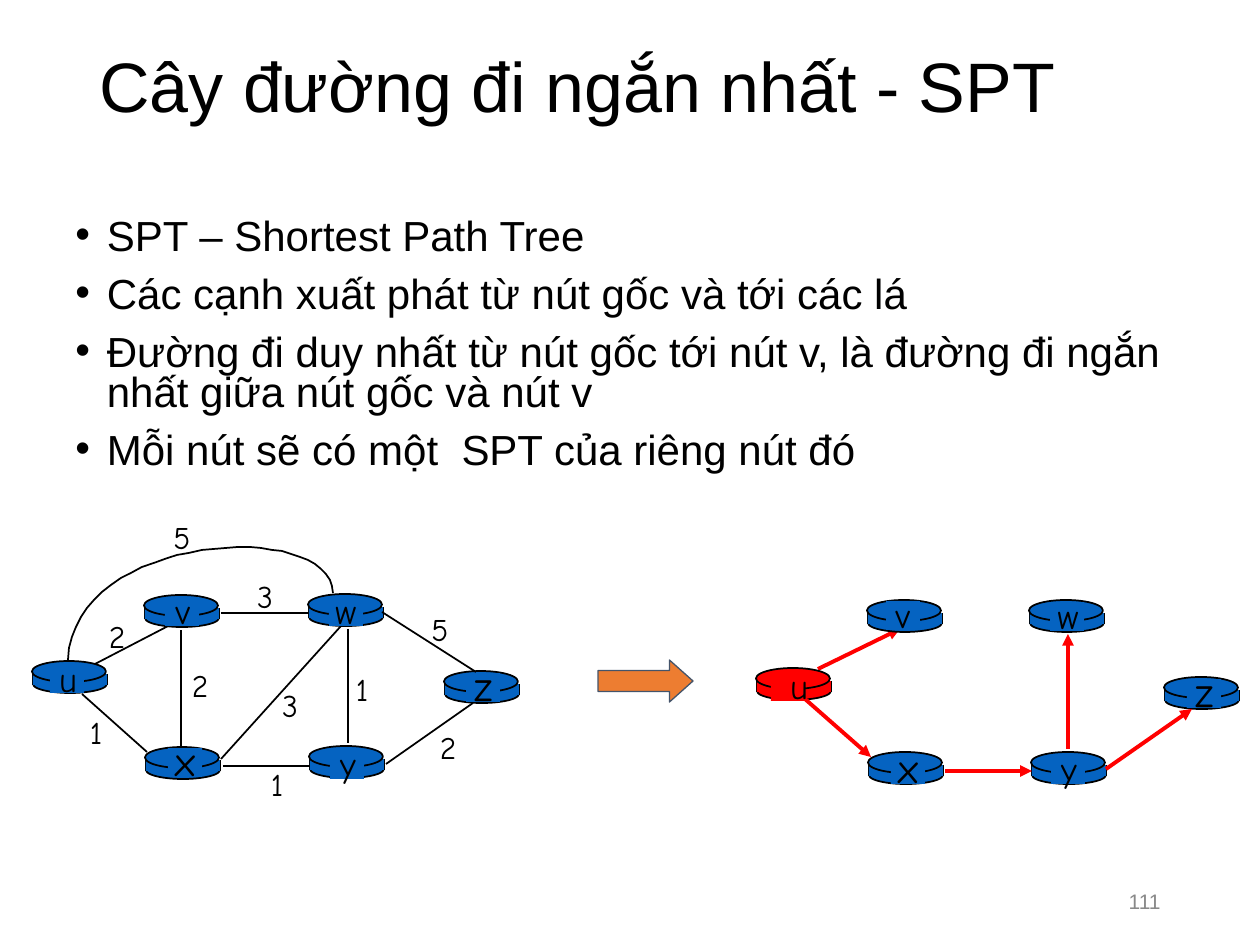
from lxml.etree import SubElement
from pptx import Presentation
from pptx.dml.color import RGBColor
from pptx.enum.shapes import MSO_CONNECTOR, MSO_SHAPE
from pptx.enum.text import MSO_ANCHOR, PP_ALIGN
from pptx.oxml.ns import qn
from pptx.util import Pt

PX = 914400 / 126
BLACK, BLUE, RED = "000000", "0563C1", "FF0000"
HAND = "Comic Neue"

TITLE = "Cây đường đi ngắn nhất - SPT"
BULLETS = [
    "SPT – Shortest Path Tree",
    "Các cạnh xuất phát từ nút gốc và tới các lá",
    "Đường đi duy nhất từ nút gốc tới nút v, là đường đi ngắn nhất giữa nút gốc và nút v",
    "Mỗi nút sẽ có một  SPT của riêng nút đó",
]
PAGE = "111"

# name, router corner, label patch corner, label (centre x, top), size, colour
GRAPH_NODES = [
    ("u", (32, 661), (50, 664), (68, 651), 20, BLUE),
    ("x", (145, 747), (168, 748), (185, 728), 24, BLUE),
    ("v", (144, 595), (165, 597), (183, 583), 20, BLUE),
    ("w", (308, 594), (329, 597), (346, 583), 20, BLUE),
    ("y", (309, 746), (330, 750), (348, 736), 20, BLUE),
    ("z", (444, 671), (466, 673), (484, 653), 24, BLUE),
]
TREE_NODES = [
    ("u", (756, 668), (771, 672), (799, 658), 20, RED),
    ("x", (868, 752), (891, 755), (908, 735), 24, BLUE),
    ("v", (867, 600), (886, 601), (903, 587), 20, BLUE),
    ("w", (1029, 600), (1050, 602), (1068, 588), 20, BLUE),
    ("y", (1031, 752), (1051, 755), (1069, 741), 20, BLUE),
    ("z", (1164, 677), (1187, 679), (1205, 659), 24, BLUE),
]
# The first edge of each list, u to v, lies behind the routers.
GRAPH_EDGES = [
    (95, 664, 176, 622), (348, 629, 348, 743), (181, 630, 181, 748),
    (221, 759, 341, 626), (386, 764, 473, 703), (223, 766, 310, 766),
    (82, 694, 147, 752), (221, 613, 309, 613), (382, 612, 476, 672),
]
TREE_EDGES = [
    (818, 669, 900, 629), (1068, 749, 1068, 634), (1106, 769, 1192, 709),
    (945, 771, 1032, 771), (805, 699, 871, 757),
]
CURVE = [(333, 593), (331, 518), (73, 532), (68, 660)]
WEIGHTS = [
    ("2", 117, 611), ("2", 200, 660), ("1", 96, 707), ("3", 290, 680),
    ("1", 277, 759), ("1", 362, 664), ("2", 448, 722), ("5", 440, 604),
    ("3", 265, 571), ("5", 182, 512),
]

prs = Presentation()
prs.slide_width, prs.slide_height = round(1260 * PX), round(945 * PX)
slide = prs.slides.add_slide(prs.slide_layouts[6])
shapes = slide.shapes


def emu(*values):
    return [round(v * PX) for v in values]


def rgb(color):
    return RGBColor.from_string(color)


def text(content, x, y, w, h, size=20, font="Arial", color=BLACK, align=PP_ALIGN.LEFT,
         anchor=MSO_ANCHOR.TOP, spacing=1.0, before=0, bullet=False, wrap=True):
    """Add a text box; content is one string or a list of paragraphs."""
    tf = shapes.add_textbox(*emu(x, y, w, h)).text_frame
    tf.word_wrap, tf.vertical_anchor = wrap, anchor
    lines = [content] if isinstance(content, str) else content
    for i, line in enumerate(lines):
        p = tf.paragraphs[0] if i == 0 else tf.add_paragraph()
        p.alignment, p.line_spacing = align, spacing
        if i:
            p.space_before = Pt(before)
        if bullet:
            pPr = p._p.get_or_add_pPr()
            indent = round(31.5 * PX)
            pPr.set("marL", str(indent))
            pPr.set("indent", str(-indent))
            SubElement(pPr, qn("a:buFont")).set("typeface", "Arial")
            SubElement(pPr, qn("a:buChar")).set("char", "•")
        r = p.add_run()
        r.text = line
        r.font.size, r.font.name = Pt(size), font
        r.font.color.rgb = rgb(color)


def shape(kind, x, y, w, h, fill, line=None, width=1):
    sp = shapes.add_shape(kind, *emu(x, y, w, h))
    sp.shadow.inherit = False
    sp.fill.solid()
    sp.fill.fore_color.rgb = rgb(fill)
    if line:
        sp.line.color.rgb, sp.line.width = rgb(line), Pt(width)
    else:
        sp.line.fill.background()
    return sp


def edge(x1, y1, x2, y2, color=BLACK, width=1, arrow=False):
    c = shapes.add_connector(MSO_CONNECTOR.STRAIGHT, *emu(x1, y1, x2, y2))
    c.line.color.rgb, c.line.width = rgb(color), Pt(width)
    if arrow:
        SubElement(c.line._get_or_add_ln(), qn("a:tailEnd")).set("type", "triangle")
    SubElement(c._element.spPr, qn("a:effectLst"))


def curve(points, steps=32):
    """Draw a cubic Bezier through its four control points."""
    def at(t):
        k = ((1 - t) ** 3, 3 * t * (1 - t) ** 2, 3 * t * t * (1 - t), t ** 3)
        return tuple(sum(a * p[i] for a, p in zip(k, points)) for i in (0, 1))

    fb = shapes.build_freeform(*points[0], scale=PX)
    fb.add_line_segments([at(i / steps) for i in range(1, steps + 1)], close=False)
    sp = fb.convert_to_shape()
    sp.shadow.inherit = False
    sp.fill.background()
    sp.line.color.rgb, sp.line.width = rgb(BLACK), Pt(1)


def router(x, y, color):
    shape(MSO_SHAPE.OVAL, x + 1, y + 14, 74, 18, color, BLACK)
    for side in (x + 1, x + 75):
        edge(side, y + 13, side, y + 24)
    shape(MSO_SHAPE.RECTANGLE, x + 1, y + 13, 74, 11, color)
    shape(MSO_SHAPE.OVAL, x, y, 74, 21, color, BLACK)


def network(nodes, edges, **style):
    edge(*edges[0], **style)
    for _, corner, _, _, _, color in nodes:
        router(*corner, color)
    for ends in edges[1:]:
        edge(*ends, **style)
    for name, _, patch, (cx, top), size, color in nodes:
        shape(MSO_SHAPE.RECTANGLE, *patch, 34, 29, color)
        text(name, cx - 24, top, 48, 52, size=size, font=HAND,
             align=PP_ALIGN.CENTER, wrap=False)


text(TITLE, 87, 0, 1086, 180, size=40, anchor=MSO_ANCHOR.MIDDLE, spacing=0.9)
text(BULLETS, 63, 213, 1134, 596, size=24, spacing=0.8, before=10, bullet=True)
text(PAGE, 890, 876, 283, 50, size=12, color="898989", align=PP_ALIGN.RIGHT,
     anchor=MSO_ANCHOR.MIDDLE)

network(TREE_NODES, TREE_EDGES, color=RED, width=2.25, arrow=True)
curve(CURVE)
network(GRAPH_NODES, GRAPH_EDGES)
for weight, cx, top in WEIGHTS:
    text(weight, cx - 22, top, 44, 50, size=18, font=HAND,
         align=PP_ALIGN.CENTER, wrap=False)

arrow = shape(MSO_SHAPE.RIGHT_ARROW, 598, 660, 95, 42, "ED7D31", "44546A", 0.75)
arrow.adjustments[0], arrow.adjustments[1] = 0.5, 0.56

prs.save("out.pptx")
